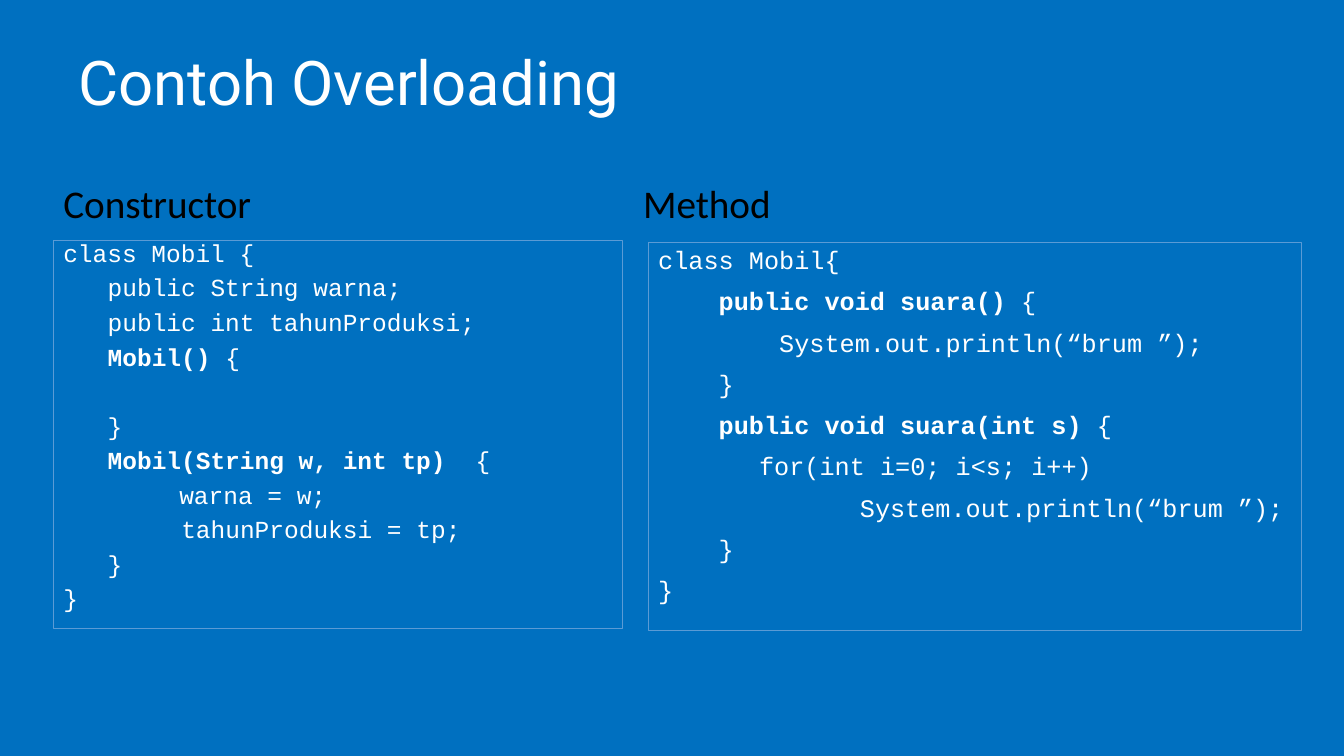
from pptx import Presentation
from pptx.dml.color import RGBColor
from pptx.enum.shapes import MSO_SHAPE
from pptx.enum.text import MSO_ANCHOR, PP_ALIGN
from pptx.util import Inches, Pt

WHITE, BLACK, BLUE, PALE_BLUE = "FFFFFF", "000000", "0070C0", "5B9BD5"
BLANK_LAYOUT = 6
HEADING_TOP, HEADING_WIDTH, HEADING_HEIGHT = 1.78, 5.04, 0.63
CODE_HEIGHT = 3.85
LINE_GAP, SKIPPED_LINE_GAP = 10, 34.7  # points before a line


def color(hex_string):
    return RGBColor.from_string(hex_string)


def style(para, font_name, size, hex_string, spacing, before=0):
    para.alignment = PP_ALIGN.LEFT
    para.line_spacing = spacing
    para.space_before = Pt(before)
    para.font.name = font_name
    para.font.size = Pt(size)
    para.font.color.rgb = color(hex_string)


# Each code line: indent in inches, bold part, plain part, points before
constructor_code = [
    (0, "", "class Mobil {", LINE_GAP),
    (0.44, "", "public String warna;", LINE_GAP),
    (0.44, "", "public int tahunProduksi;", LINE_GAP),
    (0.44, "Mobil() ", "{", LINE_GAP),
    (0.44, "", "}", SKIPPED_LINE_GAP),
    (0.44, "Mobil(String w, int tp)", "  {", LINE_GAP),
    (1.15, "", "warna = w;", LINE_GAP),
    (1.17, "", "tahunProduksi = tp;", LINE_GAP),
    (0.44, "", "}", LINE_GAP),
    (0, "", "}", LINE_GAP),
]
method_code = [
    (0, "", "class Mobil{", LINE_GAP),
    (0.6, "public void suara() ", "{", LINE_GAP),
    (1.2, "", "System.out.println(“brum ”);", LINE_GAP),
    (0.6, "", "}", LINE_GAP),
    (0.6, "public void suara(int s) ", "{", LINE_GAP),
    (1, "", "for(int i=0; i<s; i++)", LINE_GAP),
    (2, "", "System.out.println(“brum ”);", LINE_GAP),
    (0.6, "", "}", LINE_GAP),
    (0, "", "}", LINE_GAP),
]
# Heading, heading left, code left, code top, code width, size, spacing, code
columns = [
    ("Constructor", 0.53, 0.53, 2.39, 5.64, 17.5, 0.7, constructor_code),
    ("Method", 6.28, 6.43, 2.41, 6.48, 18, 0.9, method_code),
]

deck = Presentation()
deck.slide_width, deck.slide_height = Inches(13.33), Inches(7.5)
slide = deck.slides.add_slide(deck.slide_layouts[BLANK_LAYOUT])
slide.background.fill.solid()
slide.background.fill.fore_color.rgb = color(BLUE)

title = slide.shapes.add_textbox(Inches(0.68), Inches(0.12), Inches(11.5), Inches(1.45))
title.text_frame.word_wrap = True
title.text_frame.vertical_anchor = MSO_ANCHOR.MIDDLE
title.text_frame.text = "Contoh Overloading"
style(title.text_frame.paragraphs[0], "Roboto", 44, WHITE, 0.9)

for heading_text, heading_left, left, top, width, size, spacing, code in columns:
    box = slide.shapes.add_shape(
        MSO_SHAPE.RECTANGLE, Inches(left), Inches(top), Inches(width), Inches(CODE_HEIGHT))
    box.shadow.inherit = False
    box.fill.background()
    box.line.color.rgb = color(PALE_BLUE)
    box.line.width = Pt(0.75)
    frame = box.text_frame
    frame.word_wrap = True
    frame.vertical_anchor = MSO_ANCHOR.TOP
    for number, (indent, bold_text, plain_text, before) in enumerate(code):
        para = frame.add_paragraph() if number else frame.paragraphs[0]
        style(para, "Courier New", size, WHITE, spacing, before)
        properties = para._p.get_or_add_pPr()
        properties.set("marL", str(Inches(indent)))
        properties.set("indent", "0")
        if bold_text:
            span = para.add_run()
            span.text = bold_text
            span.font.bold = True
        para.add_run().text = plain_text

    heading = slide.shapes.add_textbox(
        Inches(heading_left), Inches(HEADING_TOP), Inches(HEADING_WIDTH), Inches(HEADING_HEIGHT))
    heading.text_frame.word_wrap = True
    heading.text_frame.text = heading_text
    style(heading.text_frame.paragraphs[0], "Calibri", 28, BLACK, 0.9, LINE_GAP)

deck.save("out.pptx")
